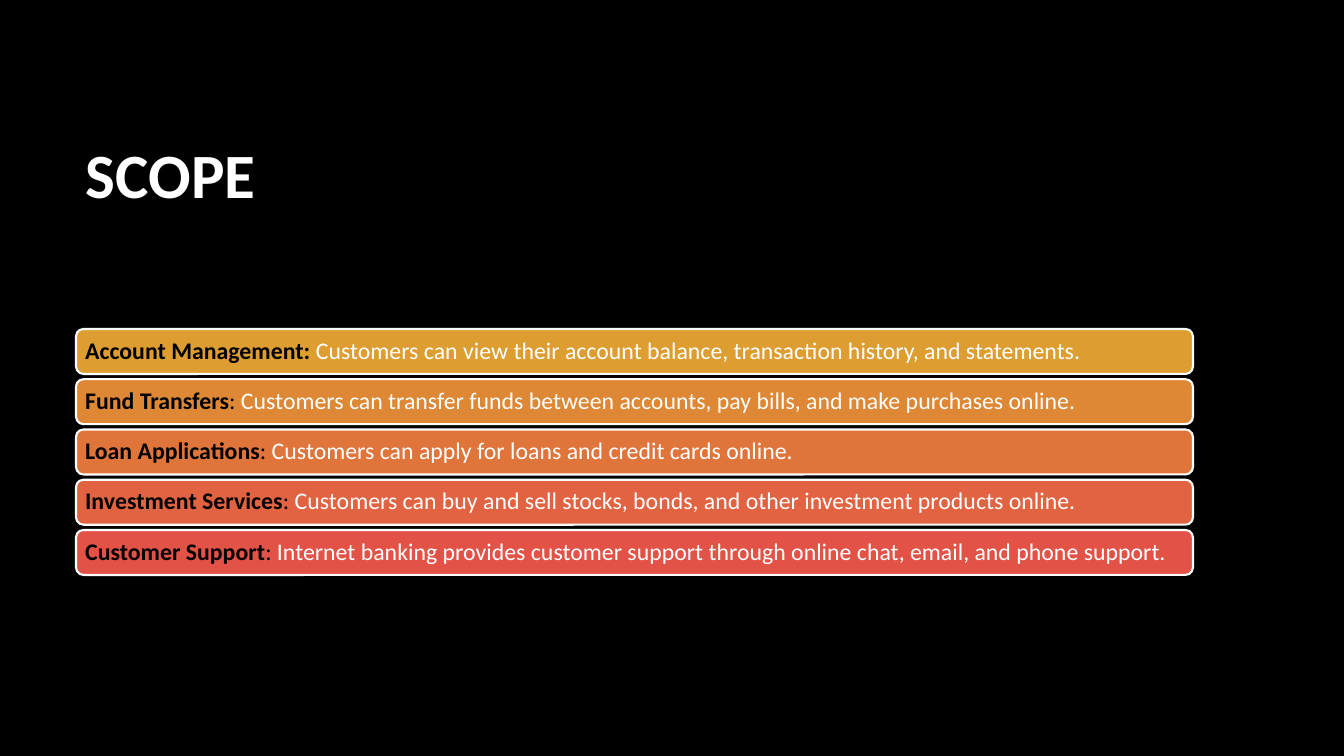
import pptx
import pptx.util
import pptx.dml.color
import pptx.enum.shapes
import pptx.enum.text

SLIDE_WIDTH, SLIDE_HEIGHT = 1344, 756
EMU_PER_PIXEL = 914400 / 100.8
BAR_HEIGHT = 45
WHITE, BLACK = "FFFFFF", "000000"

SERVICES = [
    ("DD9D31", "Account Management:", "",
     " Customers can view their account balance, transaction history, and statements."),
    ("DE8836", "Fund Transfers", ":",
     " Customers can transfer funds between accounts, pay bills, and make purchases online."),
    ("E0753C", "Loan Applications", ":",
     " Customers can apply for loans and credit cards online."),
    ("E16341", "Investment Services", ":",
     " Customers can buy and sell stocks, bonds, and other investment products online."),
    ("E25247", "Customer Support", ":",
     " Internet banking provides customer support through online chat, email, and phone support."),
]


def px(length):
    return pptx.util.Emu(round(length * EMU_PER_PIXEL))


def rgb(value):
    return pptx.dml.color.RGBColor.from_string(value)


def apply_format(target, values):
    for name, value in values.items():
        setattr(target, name, value)


def add_run(paragraph, text, size, color, bold):
    run = paragraph.add_run()
    run.text = text
    apply_format(run.font, {"name": "Calibri", "size": pptx.util.Pt(size), "bold": bold})
    run.font.color.rgb = rgb(color)


def add_heading(slide, box, text):
    heading = slide.shapes.add_textbox(*map(px, box)).text_frame
    apply_format(heading, {"word_wrap": True,
                           "vertical_anchor": pptx.enum.text.MSO_ANCHOR.MIDDLE})
    add_run(heading.paragraphs[0], text, 45, WHITE, True)


def add_service_bar(slide, box, color, name, colon, description):
    bar = slide.shapes.add_shape(
        pptx.enum.shapes.MSO_SHAPE.ROUNDED_RECTANGLE, *map(px, box))
    bar.shadow.inherit = False
    bar.fill.solid()
    bar.fill.fore_color.rgb = rgb(color)
    bar.line.color.rgb = rgb(WHITE)
    bar.line.width = pptx.util.Pt(1.5)
    margins = {f"margin_{side}": px(7) for side in ("left", "top", "right", "bottom")}
    apply_format(bar.text_frame, {
        "word_wrap": True, "vertical_anchor": pptx.enum.text.MSO_ANCHOR.MIDDLE, **margins})
    sentence = bar.text_frame.paragraphs[0]
    apply_format(sentence, {"alignment": pptx.enum.text.PP_ALIGN.LEFT, "line_spacing": 0.9})
    add_run(sentence, name, 17, BLACK, True)
    if colon:
        add_run(sentence, colon, 17, BLACK, False)
    add_run(sentence, description, 17, WHITE, False)


def add_service_list(slide, box, services):
    left, top, width, height = box
    pitch = (height - BAR_HEIGHT) / (len(services) - 1)
    for index, service in enumerate(services):
        add_service_bar(slide, (left, top + index * pitch, width, BAR_HEIGHT), *service)


def build_scope_slide(presentation):
    slide = presentation.slides.add_slide(presentation.slide_layouts[6])
    slide.background.fill.solid()
    slide.background.fill.fore_color.rgb = rgb(BLACK)
    add_heading(slide, (76, 93, 1117, 160), "SCOPE")
    add_service_list(slide, (76, 329, 1117, 246), SERVICES)


presentation = pptx.Presentation()
apply_format(presentation, {"slide_width": px(SLIDE_WIDTH), "slide_height": px(SLIDE_HEIGHT)})
build_scope_slide(presentation)
presentation.save("out.pptx")
